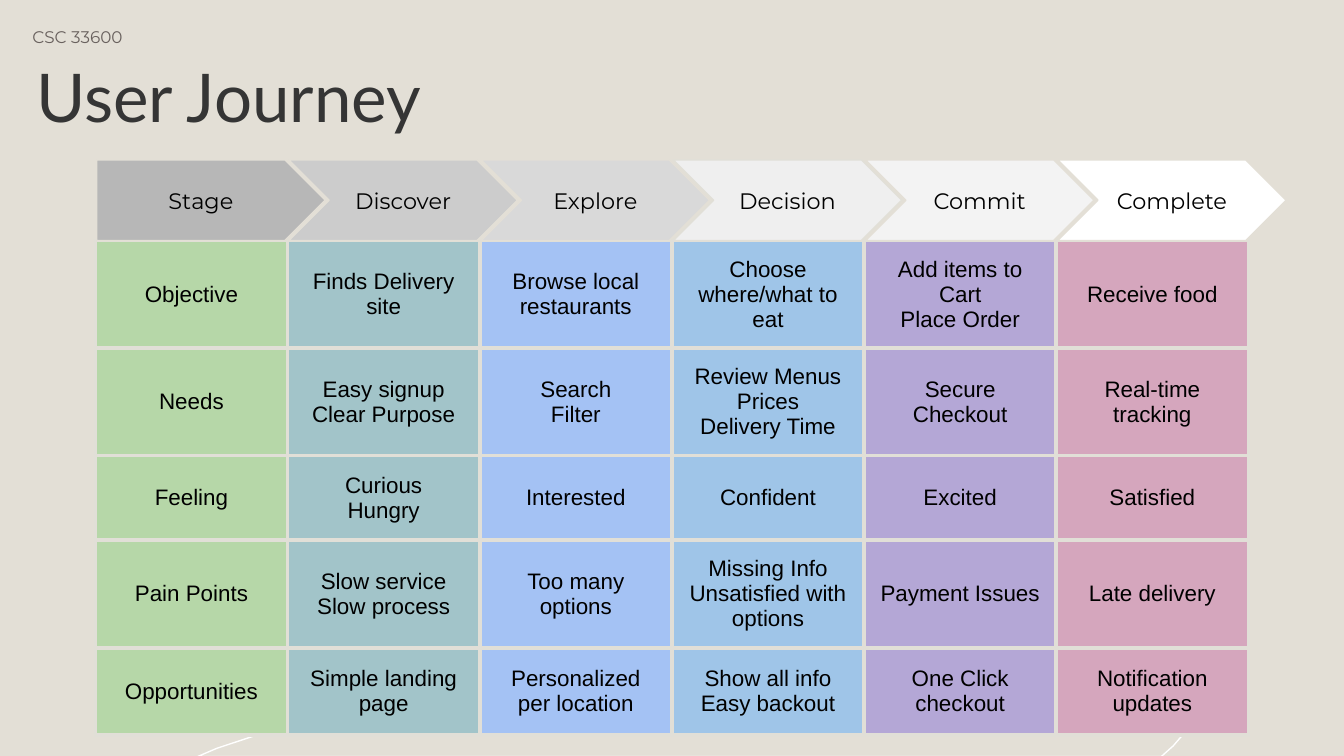
"""Build the User Journey slide."""
from typing import NamedTuple

from lxml.etree import SubElement
from pptx import Presentation
from pptx.dml.color import RGBColor
from pptx.enum.shapes import MSO_SHAPE
from pptx.enum.text import MSO_ANCHOR, MSO_AUTO_SIZE, PP_ALIGN
from pptx.oxml.ns import qn
from pptx.util import Inches, Pt

BACKGROUND = "E3DFD6"
BORDER = "E1DFD7"
LEFT, COL_WIDTH = 0.72, 1.43
ROW_HEIGHTS = [0.8, 0.8, 0.63, 0.8, 0.65]


class Stage(NamedTuple):
    name: str
    head_fill: str
    cell_fill: str
    cells: list[str]
    line: str = BACKGROUND


STAGES = [
    Stage("Stage", "B7B7B7", "B6D7A8",
          ["Objective", "Needs", "Feeling", "Pain Points", "Opportunities"]),
    Stage("Discover", "CCCCCC", "A2C4C9",
          ["Finds Delivery site", "Easy signup\nClear Purpose", "Curious\nHungry",
           "Slow service\nSlow process", "Simple landing page"]),
    Stage("Explore", "D9D9D9", "A4C2F4",
          ["Browse local restaurants", "Search\nFilter", "Interested",
           "Too many options", "Personalized per location"]),
    Stage("Decision", "EFEFEF", "9FC5E8",
          ["Choose where/what to eat", "Review Menus\nPrices\nDelivery Time", "Confident",
           "Missing Info\nUnsatisfied with options", "Show all info\nEasy backout"], BORDER),
    Stage("Commit", "F3F3F3", "B4A7D6",
          ["Add items to Cart\nPlace Order", "Secure Checkout", "Excited",
           "Payment Issues", "One Click checkout"]),
    Stage("Complete", "FFFFFF", "D5A6BD",
          ["Receive food", "Real-time tracking", "Satisfied",
           "Late delivery", "Notification updates"]),
]

ARC = [(1.47, 5.63), (1.61, 5.57), (1.76, 5.52), (1.91, 5.47), (2.23, 5.37), (2.58, 5.28),
       (2.95, 5.19), (3.36, 5.11), (3.78, 5.03), (4.21, 4.96), (4.72, 4.89), (5.17, 4.84),
       (5.61, 4.8), (6.04, 4.78), (6.45, 4.76), (6.83, 4.76), (7.25, 4.77), (7.63, 4.8),
       (7.98, 4.84), (8.27, 4.9), (8.51, 4.98), (8.69, 5.06), (8.81, 5.16), (8.85, 5.25),
       (8.86, 5.33), (8.83, 5.4), (8.79, 5.48), (8.73, 5.55), (8.64, 5.63)]


def rgb(value: str) -> RGBColor:
    """Turn a hex string into a colour."""
    return RGBColor.from_string(value)


def write(tf, text: str, size: float = 12, font: str = "Montserrat", color: str = "000000",
          align=PP_ALIGN.CENTER, spacing: float = 1.0) -> None:
    """Fill a text frame with one paragraph per line of text."""
    for i, line in enumerate(text.split("\n")):
        p = tf.paragraphs[0] if i == 0 else tf.add_paragraph()
        p.alignment, p.line_spacing, p.space_before = align, spacing, Pt(0)
        r = p.add_run()
        r.text = line
        r.font.size, r.font.name, r.font.color.rgb = Pt(size), font, rgb(color)


def set_margins(target, left: float = 0.1) -> None:
    """Set the inner margins of a text frame or cell."""
    target.margin_left = Inches(left)
    target.margin_right = target.margin_top = target.margin_bottom = Inches(0.1)


def place_heading(sp, box: tuple, text: str, inset: float = 0.1, **style) -> None:
    """Move a placeholder and write its left-aligned text."""
    sp.left, sp.top, sp.width, sp.height = (Inches(v) for v in box)
    tf = sp.text_frame
    tf.word_wrap, tf.auto_size = True, MSO_AUTO_SIZE.NONE
    tf.vertical_anchor = MSO_ANCHOR.TOP
    set_margins(tf, inset)
    write(tf, text, align=PP_ALIGN.LEFT, **style)


def add_arc(s) -> None:
    """Draw the white outline at the foot of the slide."""
    builder = s.shapes.build_freeform(Inches(ARC[0][0]), Inches(ARC[0][1]))
    builder.add_line_segments([(Inches(x), Inches(y)) for x, y in ARC[1:]], close=True)
    sp = builder.convert_to_shape()
    sp.shadow.inherit = False
    sp.fill.background()
    sp.line.color.rgb, sp.line.width = rgb("FFFFFF"), Pt(0.75)


def add_borders(cell, color: str, width: float) -> None:
    """Give a cell the same line on all four sides."""
    tc_pr = cell._tc.get_or_add_tcPr()
    for side in ("a:lnL", "a:lnR", "a:lnT", "a:lnB"):
        ln = SubElement(tc_pr, qn(side), w=str(Pt(width)))
        SubElement(SubElement(ln, qn("a:solidFill")), qn("a:srgbClr"), val=color)


def add_journey_table(s) -> None:
    """Add the table with one column per stage."""
    frame = s.shapes.add_table(len(ROW_HEIGHTS), len(STAGES), Inches(0.71), Inches(1.79),
                               Inches(COL_WIDTH * len(STAGES)), Inches(sum(ROW_HEIGHTS)))
    table = frame.table
    table.first_row = table.horz_banding = False
    for row, height in zip(table.rows, ROW_HEIGHTS):
        row.height = Inches(height)
    for col, stage in enumerate(STAGES):
        table.columns[col].width = Inches(COL_WIDTH)
        for row, text in enumerate(stage.cells):
            cell = table.cell(row, col)
            add_borders(cell, BORDER, 2.25)
            cell.fill.solid()
            cell.fill.fore_color.rgb = rgb(stage.cell_fill)
            cell.vertical_anchor = MSO_ANCHOR.MIDDLE
            set_margins(cell)
            write(cell.text_frame, text, font="Arial")


def add_stage_head(s, index: int, stage: Stage) -> None:
    """Add the arrow that heads a column."""
    kind = MSO_SHAPE.CHEVRON if index else MSO_SHAPE.PENTAGON
    sp = s.shapes.add_shape(kind, Inches(LEFT + index * COL_WIDTH), Inches(1.19),
                            Inches(1.7), Inches(0.6))
    sp.shadow.inherit = False
    sp.fill.solid()
    sp.fill.fore_color.rgb = rgb(stage.head_fill)
    sp.line.color.rgb, sp.line.width = rgb(stage.line), Pt(0.75)
    tf = sp.text_frame
    tf.vertical_anchor = MSO_ANCHOR.MIDDLE
    set_margins(tf)
    write(tf, stage.name)


def main() -> None:
    """Build and save the slide."""
    prs = Presentation()
    prs.slide_width, prs.slide_height = Inches(10), Inches(10) * 9 // 16
    s = prs.slides.add_slide(prs.slide_layouts[0])
    s.background.fill.solid()
    s.background.fill.fore_color.rgb = rgb(BACKGROUND)
    place_heading(s.placeholders[1], (0.04, 0.1, 1.73, 0.21), "CSC 33600", inset=0.2,
                  size=9, color="69615E")
    place_heading(s.shapes.title, (0.17, 0.38, 6.37, 0.75), "User Journey",
                  size=36, font="Lato", color="353535", spacing=0.9)
    add_arc(s)
    add_journey_table(s)
    for index, stage in enumerate(STAGES):
        add_stage_head(s, index, stage)
    prs.save("out.pptx")


if __name__ == "__main__":
    main()
